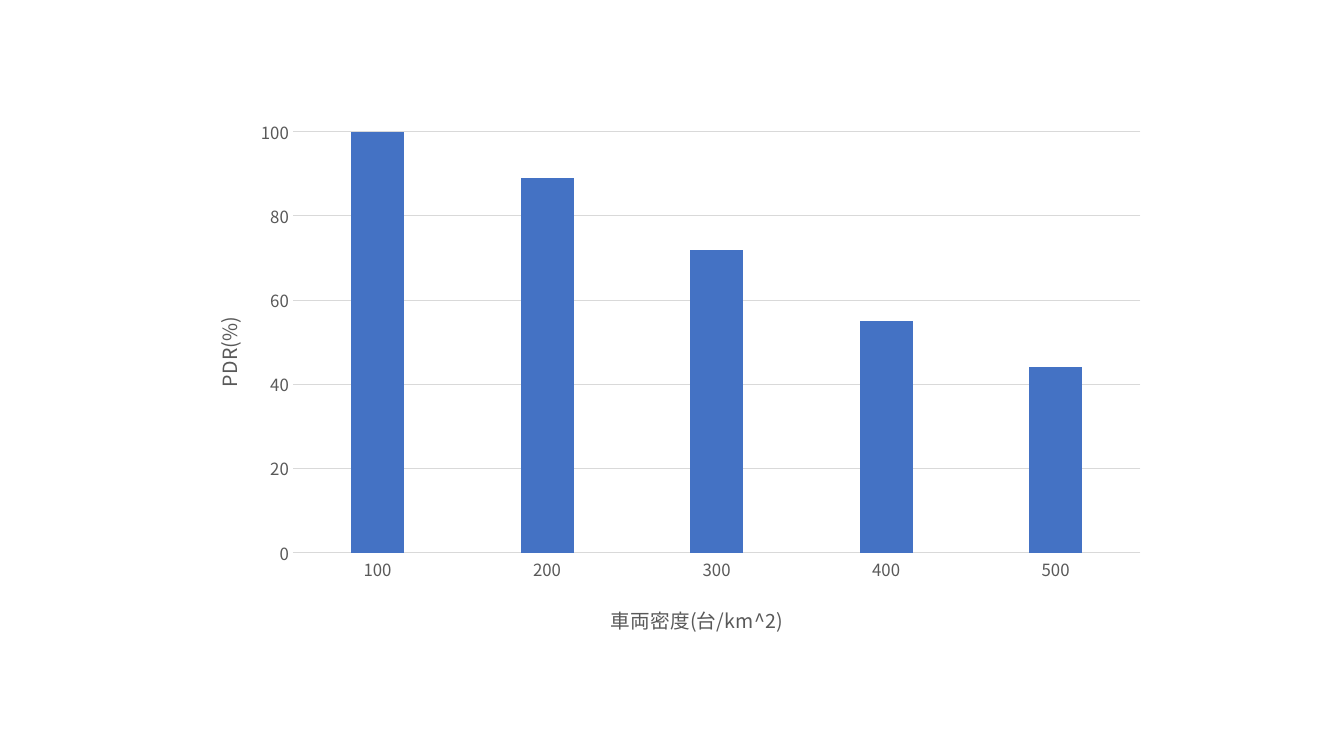
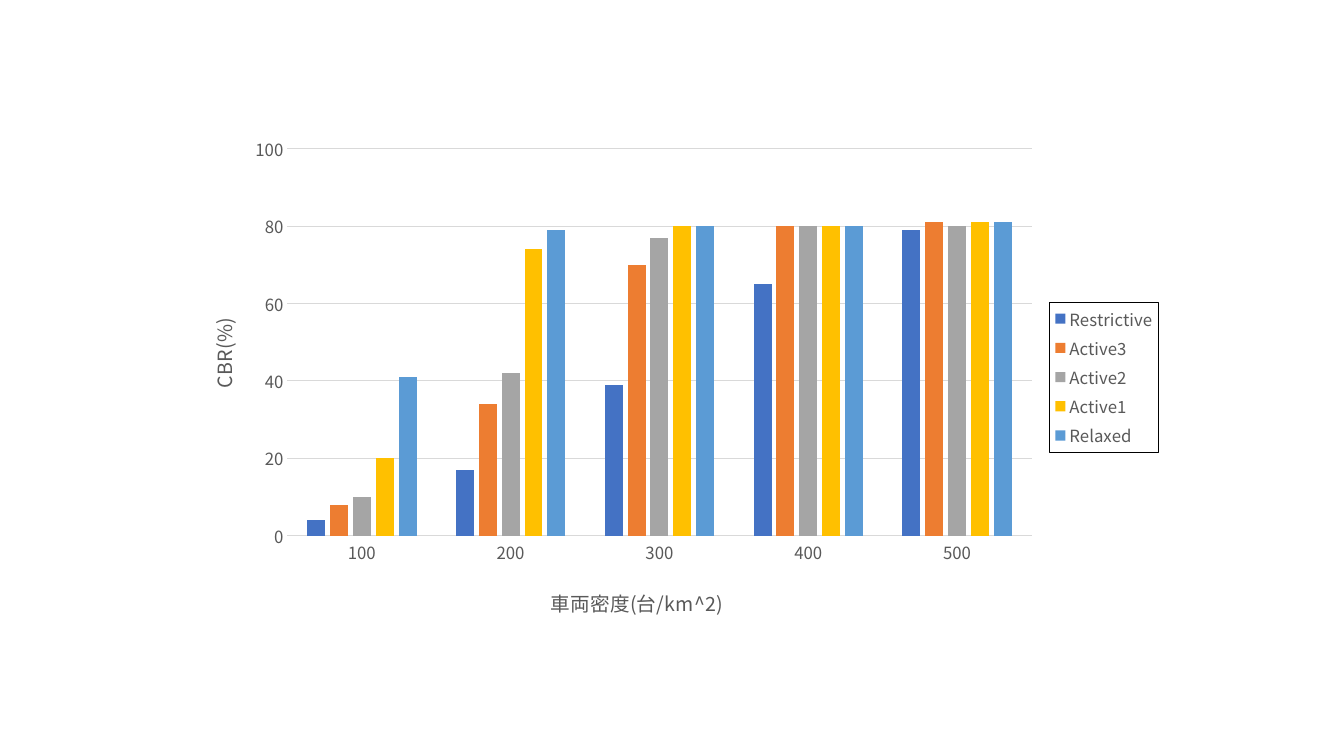
from dataclasses import dataclass

from lxml.etree import SubElement as Sub
from pptx import Presentation
from pptx.chart.data import CategoryChartData as Data
from pptx.dml.color import RGBColor as Rgb
from pptx.enum.chart import XL_CHART_TYPE as Kind
from pptx.enum.chart import XL_LEGEND_POSITION as Side
from pptx.enum.chart import XL_TICK_MARK as Tick
from pptx.oxml.ns import qn
from pptx.util import Cm, Pt


@dataclass(frozen=True)
class Theme:
    face: str = "Noto Sans CJK JP"
    ink: str = "595959"
    rule: str = "D9D9D9"
    frame: str = "000000"
    fills: tuple = ("4472C4", "ED7D31", "A5A5A5", "FFC000", "5B9BD5")
    base: int = 10
    label: int = 12
    title: int = 14
    thin: float = 0.75


LOADS = ("100", "200", "300", "400", "500")
LOAD = "車両密度(台/km^2)"
SCALE = {"minimum_scale": 0, "maximum_scale": 100, "major_unit": 20,
         "has_major_gridlines": True}
BARS = {"gap_width": 219, "overlap": -27, "vary_by_categories": False}
TICKS = {"major_tick_mark": Tick.NONE, "minor_tick_mark": Tick.NONE}
KEY = {"position": Side.RIGHT, "include_in_layout": False}


def apply(item, values):
    for name, value in values.items():
        setattr(item, name, value)


class Deck:
    def __init__(self, theme):
        self.theme = theme
        self.show = Presentation()
        apply(self.show, {"slide_width": Cm(33.87), "slide_height": Cm(19.05)})
        self.slide = None

    def page(self):
        self.slide = self.show.slides.add_slide(self.show.slide_layouts[6])

    def font(self, font, size, color):
        apply(font, {"name": self.theme.face, "size": Pt(size), "bold": False})
        font.color.rgb = Rgb.from_string(color)

    def line(self, line):
        line.width = Pt(self.theme.thin)
        line.color.rgb = Rgb.from_string(self.theme.rule)

    def place(self, node, after, spot, inner=False):
        old = node.find(qn("c:layout"))
        if old is not None:
            node.remove(old)
        outer = Sub(node, qn("c:layout"))
        node.insert(0 if after is None else node.index(node.find(qn(after))) + 1, outer)
        form = Sub(outer, qn("c:manualLayout"))
        if inner:
            Sub(form, qn("c:layoutTarget")).set("val", "inner")
        for name in ("xMode", "yMode"):
            Sub(form, qn("c:" + name)).set("val", "edge")
        for name, value in zip("xywh", spot):
            Sub(form, qn("c:" + name)).set("val", str(value))

    def axis(self, axis, text, spot, turn):
        look = self.theme
        apply(axis, TICKS)
        self.font(axis.tick_labels.font, look.label, look.ink)
        title = axis.axis_title
        title.text_frame.text = text
        self.font(title.text_frame.paragraphs[0].runs[0].font, look.title, look.ink)
        body = title.element.find(".//" + qn("a:bodyPr"))
        body.set("rot", str(turn * 60000))
        body.set("vert", "horz")
        self.place(title.element, "c:tx", spot)

    def legend(self, chart, spot):
        look = self.theme
        chart.has_legend = True
        apply(chart.legend, KEY)
        self.font(chart.legend.font, look.label, look.ink)
        node = chart.element.find(".//" + qn("c:legend"))
        self.place(node, "c:legendPos", spot)
        shape = Sub(node, qn("c:spPr"))
        node.find(qn("c:overlay")).addnext(shape)
        edge = Sub(shape, qn("a:ln"), w=str(Pt(look.thin)))
        Sub(Sub(edge, qn("a:solidFill")), qn("a:srgbClr")).set("val", look.frame)

    def chart(self, box, rows, unit, plot, low, left, key=None):
        look = self.theme
        data = Data()
        data.categories = LOADS
        for name, values in rows.items():
            data.add_series(name, values)
        chart = self.slide.shapes.add_chart(
            Kind.COLUMN_CLUSTERED, *map(Cm, box), data).chart
        apply(chart, {"has_title": False, "has_legend": False})
        self.font(chart.font, look.base, look.frame)
        apply(chart.plots[0], BARS)
        for row, color in zip(chart.plots[0].series, look.fills):
            row.format.fill.solid()
            row.format.fill.fore_color.rgb = Rgb.from_string(color)
        self.axis(chart.category_axis, LOAD, low, 0)
        self.line(chart.category_axis.format.line)
        self.axis(chart.value_axis, unit, left, -90)
        apply(chart.value_axis, SCALE)
        chart.value_axis.format.line.fill.background()
        self.line(chart.value_axis.major_gridlines.format.line)
        self.place(chart.element.find(".//" + qn("c:plotArea")), None, plot, True)
        if key:
            self.legend(chart, key)
        for latin in list(chart.element.iter(qn("a:latin"))):
            east = Sub(latin.getparent(), qn("a:ea"), typeface=look.face)
            latin.addnext(east)


def main():
    deck = Deck(Theme())
    deck.page()
    deck.chart(
        (4.62, 2.72, 24.64, 13.59),
        {"Series 1": (100, 89, 72, 55, 44)},
        "PDR(%)",
        plot=(0.112, 0.044, 0.867, 0.781),
        low=(0.433, 0.911),
        left=(0.026, 0.38),
    )
    deck.page()
    deck.chart(
        (4.45, 3.18, 24.94, 12.7),
        {
            "Restrictive": (4, 17, 39, 65, 79),
            "Active3": (8, 34, 70, 80, 81),
            "Active2": (10, 42, 77, 80, 80),
            "Active1": (20, 74, 80, 80, 81),
            "Relaxed": (41, 79, 80, 80, 81),
        },
        "CBR(%)",
        plot=(0.112, 0.045, 0.752, 0.768),
        low=(0.374, 0.905),
        left=(0.027, 0.373),
        key=(0.882, 0.349, 0.11, 0.298),
    )
    deck.show.save("out.pptx")


if __name__ == "__main__":
    main()
